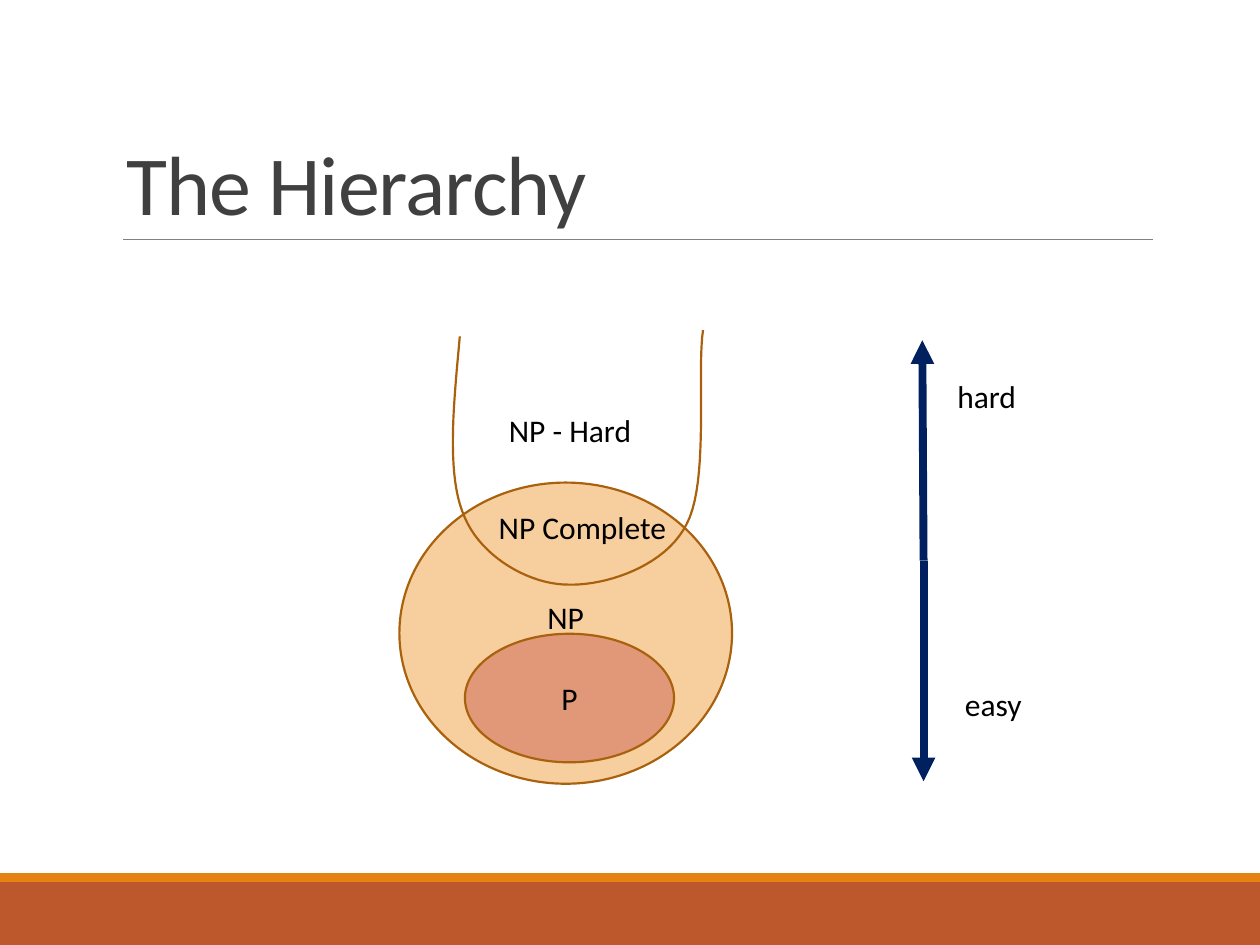
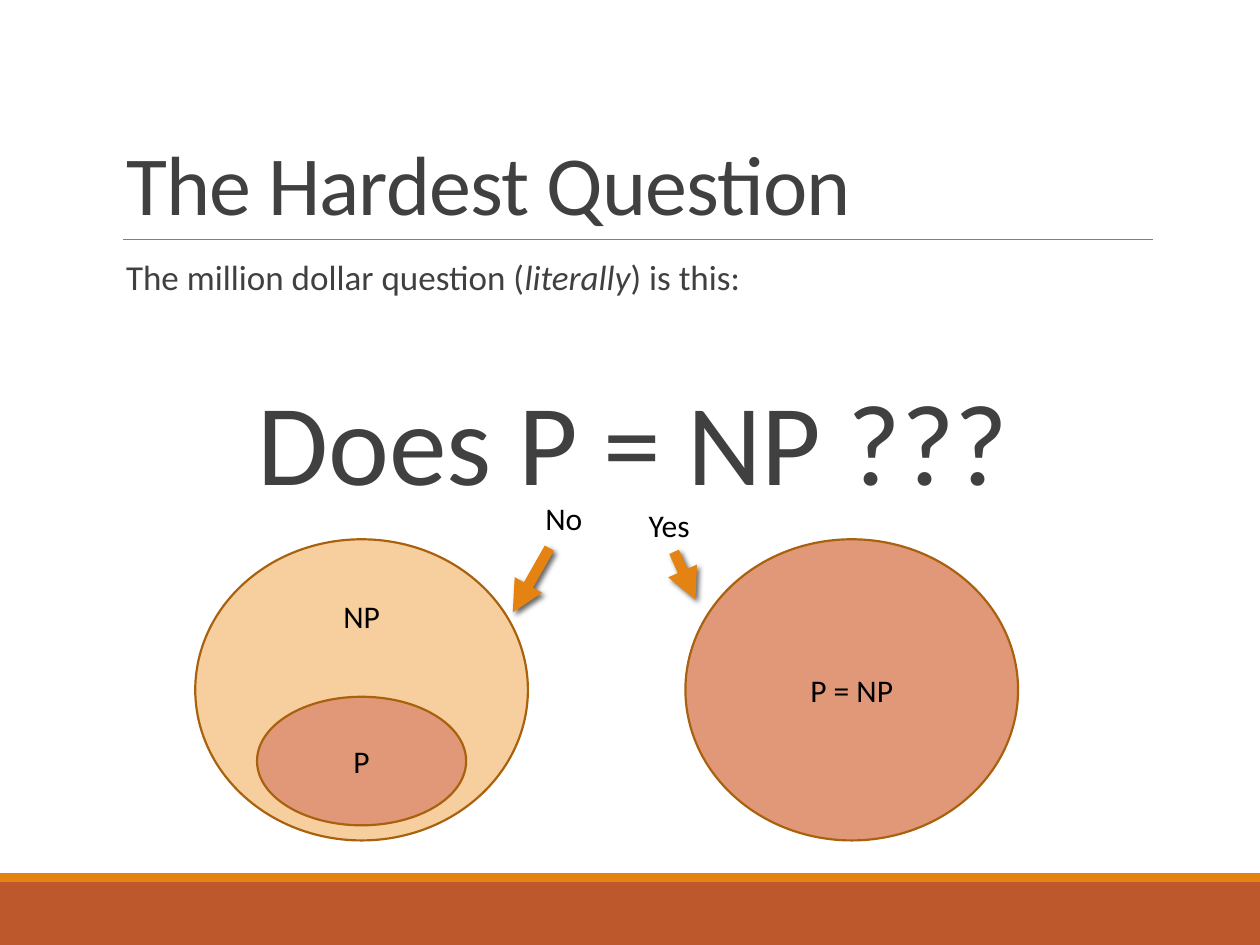
from pptx import Presentation
from pptx.dml.color import RGBColor
from pptx.enum.shapes import MSO_CONNECTOR as Link, MSO_SHAPE as Form
from pptx.enum.text import MSO_ANCHOR as Anchor, MSO_AUTO_SIZE as Fit, PP_ALIGN as Align
from pptx.oxml import parse_xml
from pptx.oxml.ns import nsdecls, qn
from pptx.util import Inches, Pt

hue = RGBColor.from_string
DARK, BLACK, GRAY, NAVY = "404040", "000000", "808080", "002060"
RUST, GOLD, SAND, CLAY, EDGE = "BD582C", "E48312", "F7CE9D", "E09878", "A9610D"

deck = Presentation()
deck.slide_width, deck.slide_height = Inches(10), Inches(7.5)
cell = deck.slide_width / 100


def grid(*vals):
    return [round(v * cell) for v in vals]


def write(para, text, size=18, color=BLACK, align=None, italic=None, space=None):
    run = para.add_run()
    run.text = text
    font = run.font
    font.name, font.size, font.italic = "Calibri", Pt(size), italic
    font.color.rgb = hue(color)
    if align is not None:
        para.alignment = align
    if space:
        run.font._element.set("spc", str(space))


bands = [(70, 5, RUST), (69.3, 0.7, GOLD)]
big, small = (26.4, 23.9), (16.6, 10.2)
plans = [
    dict(
        title="The Hierarchy",
        ovals=[(31.7, 38.3, big, SAND, "NP", 0.3), (36.9, 50.3, small, CLAY, "P", 0.05)],
        lines=[(73.3, 44.5, 73.2, 27, NAVY, 4.5), (73.3, 44.5, 73.3, 62, NAVY, 4.5)],
        notes=[(39.4, 32.1, 11.8, "NP - Hard"), (38.6, 39.8, 15.5, "NP Complete"),
               (75, 29.4, 6.7, "hard"), (75.6, 53.9, 6.6, "easy")],
    ),
    dict(
        title="The Hardest Question",
        ovals=[(15.5, 42.8, big, SAND, "NP", 1.22), (20.4, 55.3, small, CLAY, "P", 0.05),
               (54.4, 42.8, big, CLAY, "P = NP", 0.05)],
        lines=[(43.6, 43.5, 40.7, 48.6, GOLD, 6), (53.5, 43.8, 55.2, 47.6, GOLD, 6)],
        notes=[(50.5, 39.7, 5.3, "Yes"), (42.3, 39.1, 5, "No")],
    ),
]
curve = [(36.5, 26.7), (36, 32.2), (35.4, 37.8), (36.9, 41.1), (38.3, 44.3),
         (42.1, 46.4), (45.1, 46.4), (48, 46.5), (52.8, 45), (54.5, 41.6),
         (56.3, 38.2), (55.3, 29.6), (55.8, 26.2)]
shade = ('<a:outerShdw blurRad="38100" dist="25400" dir="2700000" rotWithShape="0">'
         '<a:srgbClr val="000000"><a:alpha val="60000"/></a:srgbClr></a:outerShdw>')

for plan in plans:
    slide = deck.slides.add_slide(deck.slide_layouts[5])
    shapes = slide.shapes

    for top, high, color in bands:
        band = shapes.add_shape(Form.RECTANGLE, *grid(0, top, 100, high))
        band.shadow.inherit = False
        band.fill.solid()
        band.fill.fore_color.rgb = hue(color)
        band.line.fill.background()

    head = shapes.title
    head.left, head.top, head.width, head.height = grid(9, 3.1, 82.5, 15.9)
    frame = head.text_frame
    frame.vertical_anchor, frame.auto_size = Anchor.BOTTOM, Fit.NONE
    para = frame.paragraphs[0]
    para.line_spacing = 0.85
    write(para, plan["title"], size=48, color=DARK, align=Align.LEFT, space=-50)

    if plan is plans[1]:
        frame = shapes.add_textbox(*grid(9, 20.2, 82.5, 44)).text_frame
        frame.word_wrap = True
        frame.margin_left = frame.margin_right = 0
        lead, ask = frame.paragraphs[0], frame.add_paragraph()
        for para, gap in (lead, 12), (ask, 48):
            para.line_spacing = 0.9
            para.space_before, para.space_after = Pt(gap), Pt(2)
        lead._p.get_or_add_pPr().set("marL", str(Inches(0.1)))
        for text, slant in ("The million dollar question (", False), ("literally", True), (") is this:", False):
            write(lead, text, size=20, color=DARK, italic=slant)
        write(ask, "Does P = NP ???", size=66, color=DARK, align=Align.CENTER)

    for left, top, size, color, text, inset in plan["ovals"]:
        oval = shapes.add_shape(Form.OVAL, *grid(left, top, *size))
        oval.shadow.inherit = False
        oval.fill.solid()
        oval.fill.fore_color.rgb = hue(color)
        oval.line.color.rgb, oval.line.width = hue(EDGE), Pt(1.25)
        frame = oval.text_frame
        frame.vertical_anchor, frame.margin_bottom = Anchor.MIDDLE, Inches(inset)
        write(frame.paragraphs[0], text, align=Align.CENTER)

    if plan is plans[0]:
        dots = []
        for i in range(0, len(curve) - 1, 3):
            a, b, c, d = curve[i:i + 4]
            for n in range(1, 21):
                t = n / 20
                u = 1 - t
                dots.append(grid(*(u**3 * p + 3 * u * u * t * q + 3 * u * t * t * r + t**3 * s
                                   for p, q, r, s in zip(a, b, c, d))))
        pen = shapes.build_freeform(*grid(*curve[0]), scale=1.0)
        pen.add_line_segments(dots, close=False)
        bowl = pen.convert_to_shape()
        bowl.shadow.inherit = False
        bowl.fill.background()
        bowl.line.color.rgb, bowl.line.width = hue(EDGE), Pt(1.25)

    for *ends, color, width in [(9.8, 19, 91.5, 19, GRAY, 0.5)] + plan["lines"]:
        line = shapes.add_connector(Link.STRAIGHT, *grid(*ends))
        line.line.color.rgb, line.line.width = hue(color), Pt(width)
        props = line.element.spPr
        if color != GRAY:
            props.find(qn("a:ln")).append(parse_xml(f'<a:tailEnd {nsdecls("a")} type="triangle"/>'))
        glow = shade if color == GOLD else ""
        props.append(parse_xml(f'<a:effectLst {nsdecls("a")}>{glow}</a:effectLst>'))

    for left, top, wide, text in plan["notes"]:
        frame = shapes.add_textbox(*grid(left, top, wide, 4)).text_frame
        frame.word_wrap, frame.auto_size = False, Fit.SHAPE_TO_FIT_TEXT
        write(frame.paragraphs[0], text)

deck.save("out.pptx")
